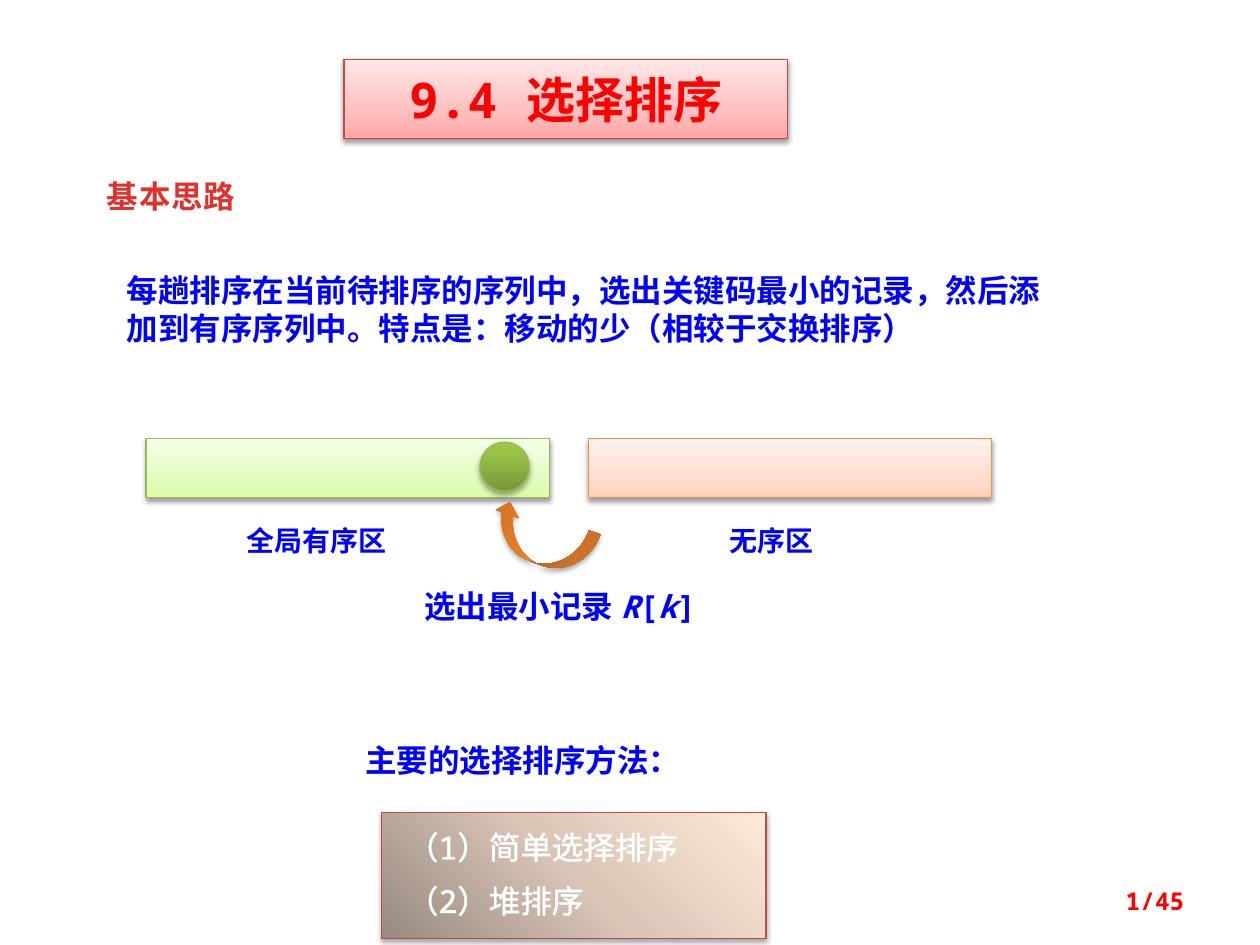
"""Build the slide that introduces selection sort."""
from lxml import etree
from pptx import Presentation
from pptx.dml.color import RGBColor
from pptx.enum.shapes import MSO_SHAPE
from pptx.enum.text import MSO_ANCHOR, PP_ALIGN
from pptx.oxml import parse_xml
from pptx.oxml.ns import qn
from pptx.util import Inches, Pt

RECT, OVAL = MSO_SHAPE.RECTANGLE, MSO_SHAPE.OVAL
ARROW = MSO_SHAPE.CURVED_LEFT_ARROW
LEFT, MID, RIGHT = PP_ALIGN.LEFT, PP_ALIGN.CENTER, PP_ALIGN.RIGHT
TOP, CENTRE = MSO_ANCHOR.TOP, MSO_ANCHOR.MIDDLE
MONO, SANS = "Noto Sans Mono", "Noto Sans CJK SC"
NS = 'xmlns:a="http://schemas.openxmlformats.org/drawingml/2006/main"'
UP = '<a:lin ang="16200000" scaled="0"/>'
CORNER = '<a:path path="circle"><a:fillToRect t="100000" r="100000"/></a:path>'
HEX = {
    "red": "FF0000", "brick": "E0322D", "blue": "0000FF", "white": "FFFFFF",
    "rose": "BF4C48", "leaf": "98B955", "peach": "F69240",
}
FADE = {
    "rose": [(0, "FFA6A5"), (35, "FFC0BF"), (100, "FFE7E7")],
    "leaf": [(0, "DAFDA7"), (35, "E4FCC2"), (100, "F5FFE7")],
    "peach": [(0, "FFD2BD"), (35, "FFDED0"), (100, "FFF2ED")],
    "sand": [(0, "988A80"), (50, "D8C5B6"), (100, "FFEAD8")],
    "rust": [(0, "CC6E20"), (80, "FF9034"), (100, "FF9136")],
    "moss": [(0, "779737"), (80, "9BC348"), (100, "9DC746")],
}

deck = Presentation()
deck.slide_width, deck.slide_height = Inches(10), Inches(7.5)
slide = deck.slides.add_slide(deck.slide_layouts[6])


def draw(kind, at, fade, line=None, way=UP, alpha=38, dist=1.6):
    shape = slide.shapes.add_shape(kind, *map(Inches, at))
    shape.shadow.inherit = False
    props = shape.fill._xPr
    stops = "".join(
        f'<a:gs pos="{pos * 1000}"><a:srgbClr val="{tone}"/></a:gs>'
        for pos, tone in FADE[fade])
    fill = parse_xml(
        f'<a:gradFill {NS} rotWithShape="1"><a:gsLst>{stops}</a:gsLst>{way}</a:gradFill>')
    props.find(qn("a:prstGeom")).addnext(fill)
    if line:
        shape.line.color.rgb = RGBColor.from_string(HEX[line])
        shape.line.width = Pt(0.75)
    else:
        shape.line.fill.background()
    props.find(qn("a:effectLst")).append(parse_xml(
        f'<a:outerShdw {NS} blurRad="{Pt(3.1)}" dist="{Pt(dist)}" dir="5400000" '
        f'rotWithShape="0"><a:srgbClr val="000000"><a:alpha val="{alpha * 1000}"/>'
        '</a:srgbClr></a:outerShdw>'))
    return shape


def write(text, at=None, shape=None, size=18, font=MONO, tone="blue", bold=True,
          align=LEFT, anchor=TOP, pad=(0.1, 0.05), gap=0, slant="", space=0, edge=0):
    box = shape or slide.shapes.add_textbox(*map(Inches, at))
    frame = box.text_frame
    frame.word_wrap = True
    frame.vertical_anchor = anchor
    frame.margin_left, frame.margin_right = Inches(pad[0]), Inches(0.1)
    frame.margin_top = frame.margin_bottom = Inches(pad[1])
    for row, words in enumerate(text.split("\n")):
        para = frame.paragraphs[0] if row == 0 else frame.add_paragraph()
        para.alignment = align
        if row:
            para.space_before = Pt(gap)
        parts = [words]
        for mark in slant:
            parts = [bit for part in parts for bit in part.partition(mark) if bit]
        for part in parts:
            run = para.add_run()
            run.text = part
            face = run.font
            face.name, face.size, face.bold = font, Pt(size), bold
            face.italic = part in list(slant)
            face.color.rgb = RGBColor.from_string(HEX[tone])
            props = run._r.get_or_add_rPr()
            east = etree.Element(qn("a:ea"), typeface=SANS)
            props.find(qn("a:latin")).addnext(east)
            if space:
                props.set("spc", str(int(space * 100)))
            if edge:
                props.insert(0, parse_xml(
                    f'<a:ln {NS} w="{Pt(edge)}"><a:solidFill>'
                    f'<a:srgbClr val="{HEX[tone]}"/></a:solidFill></a:ln>'))


title = draw(RECT, (2.73, 0.47, 3.52, 0.63), "rose", "rose")
write("9.4 选择排序", shape=title, size=28, tone="red", align=MID, pad=(0.1, 0.08))

write("基本思路", (0.75, 1.36, 1.41, 0.4), font=SANS, tone="brick", space=0.5)
write("每趟排序在当前待排序的序列中，选出关键码最小的记录，然后添加到有序序列中。"
      "特点是：移动的少（相较于交换排序）", (0.91, 2.1, 7.56, 0.71), font=SANS)

zones = [
    (1.16, "leaf", "全局有序区", 1.86, 1.64),
    (4.67, "peach", "无序区", 5.69, 1.02),
]
for left, hue, name, start, wide in zones:
    draw(RECT, (left, 3.48, 3.2, 0.47), hue, hue)
    write(name, (start, 4.11, wide, 0.37), size=16)

arrow = draw(ARROW, (4.1, 3.85, 0.39, 0.86), "rust", alpha=35, dist=1.8)
arrow.rotation = 109.7
write("选出最小记录 R[k]", (3.27, 4.61, 2.58, 0.4), slant="Rk")
draw(OVAL, (3.81, 3.51, 0.39, 0.39), "moss", "leaf", alpha=35, dist=1.8)

write("主要的选择排序方法：", (2.8, 5.83, 2.81, 0.4))
ways = draw(RECT, (3.03, 6.45, 3.05, 1), "sand", "rose", CORNER, 35, 1.8)
write("（1）简单选择排序\n（2）堆排序", shape=ways, tone="white", bold=False,
      pad=(0.2, 0.12), gap=9, edge=1.45)

write("1/45", (7.17, 6.95, 2.33, 0.4), size=14, tone="red", align=RIGHT, anchor=CENTRE)

deck.save("out.pptx")
